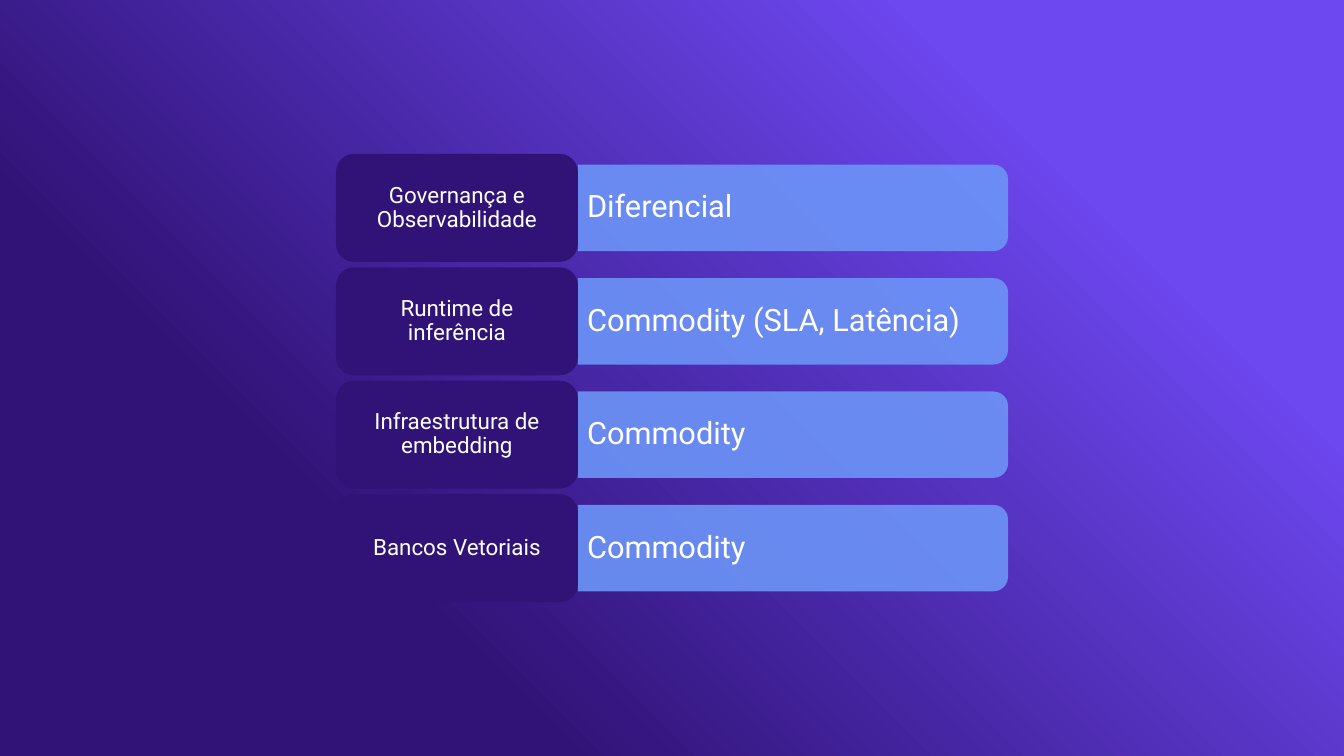
from pptx import Presentation, util as u
from pptx.dml.color import RGBColor
from pptx.enum import shapes, text
from pptx.oxml.xmlchemy import OxmlElement

VIOLET = RGBColor(0x6D, 0x47, 0xEF)
INDIGO = RGBColor(0x31, 0x13, 0x77)
SKY = RGBColor(0x6C, 0x94, 0xF7)
WHITE = RGBColor(0xFF, 0xFF, 0xFF)

W, H = u.Inches(13.33), u.Inches(7.5)
LEFT = W * 0.25
LABEL_W = W * 0.18
BAR_W = W * 0.32
PITCH = H * 0.15
LABEL_H = PITCH / 1.05
BAR_H = LABEL_H * 0.8

LAYERS = [
    ("Governança e Observabilidade", "Diferencial"),
    ("Runtime de inferência", "Commodity (SLA, Latência)"),
    ("Infraestrutura de embedding", "Commodity"),
    ("Bancos Vetoriais", "Commodity"),
]


def set_background(s):
    fill = s.background.fill
    fill.gradient()
    fill.gradient_angle = 225
    for stop, position, color in zip(fill.gradient_stops, (0.21, 0.73), (VIOLET, INDIGO)):
        stop.position = position
        stop.color.rgb = color


def add_block(s, kind, center_x, center_y, width, height, color):
    sp = s.shapes.add_shape(kind, int(center_x - width / 2), int(center_y - height / 2),
                            int(width), int(height))
    sp.shadow.inherit = False
    sp.fill.solid()
    sp.fill.fore_color.rgb = color
    sp.line.fill.background()
    return sp


def set_text(sp, words, size, align, inset):
    tf = sp.text_frame
    tf.word_wrap = True
    tf.vertical_anchor = text.MSO_ANCHOR.MIDDLE
    tf.margin_left = tf.margin_right = u.Inches(inset)
    p = tf.paragraphs[0]
    p.text = words
    p.alignment = align
    p.line_spacing = 0.9
    p.font.name = "Roboto"
    p.font.size = u.Pt(size)
    p.font.color.rgb = WHITE


def add_bar(s, center_y, words):
    left = LEFT + LABEL_W
    sp = add_block(s, shapes.MSO_SHAPE.ROUND_2_SAME_RECTANGLE, left + BAR_W / 2, center_y,
                   BAR_H, BAR_W, SKY)
    sp.rotation = 90
    alpha = OxmlElement("a:alpha")
    alpha.set("val", "90000")
    sp.fill._xPr.solidFill[0].append(alpha)
    box = s.shapes.add_textbox(int(left), int(center_y - BAR_H / 2), int(BAR_W), int(BAR_H))
    set_text(box, words, 22, text.PP_ALIGN.LEFT, 0.09)


def add_label(s, center_y, words):
    sp = add_block(s, shapes.MSO_SHAPE.ROUNDED_RECTANGLE, LEFT + LABEL_W / 2, center_y,
                   LABEL_W, LABEL_H, INDIGO)
    set_text(sp, words, 16, text.PP_ALIGN.CENTER, 0.1)


def main():
    prs = Presentation()
    prs.slide_width, prs.slide_height = W, H
    s = prs.slides.add_slide(prs.slide_layouts[6])
    set_background(s)
    for row, (layer, role) in enumerate(LAYERS):
        center_y = H / 2 + (row - (len(LAYERS) - 1) / 2) * PITCH
        add_bar(s, center_y, role)
        add_label(s, center_y, layer)
    prs.save("out.pptx")


if __name__ == "__main__":
    main()
